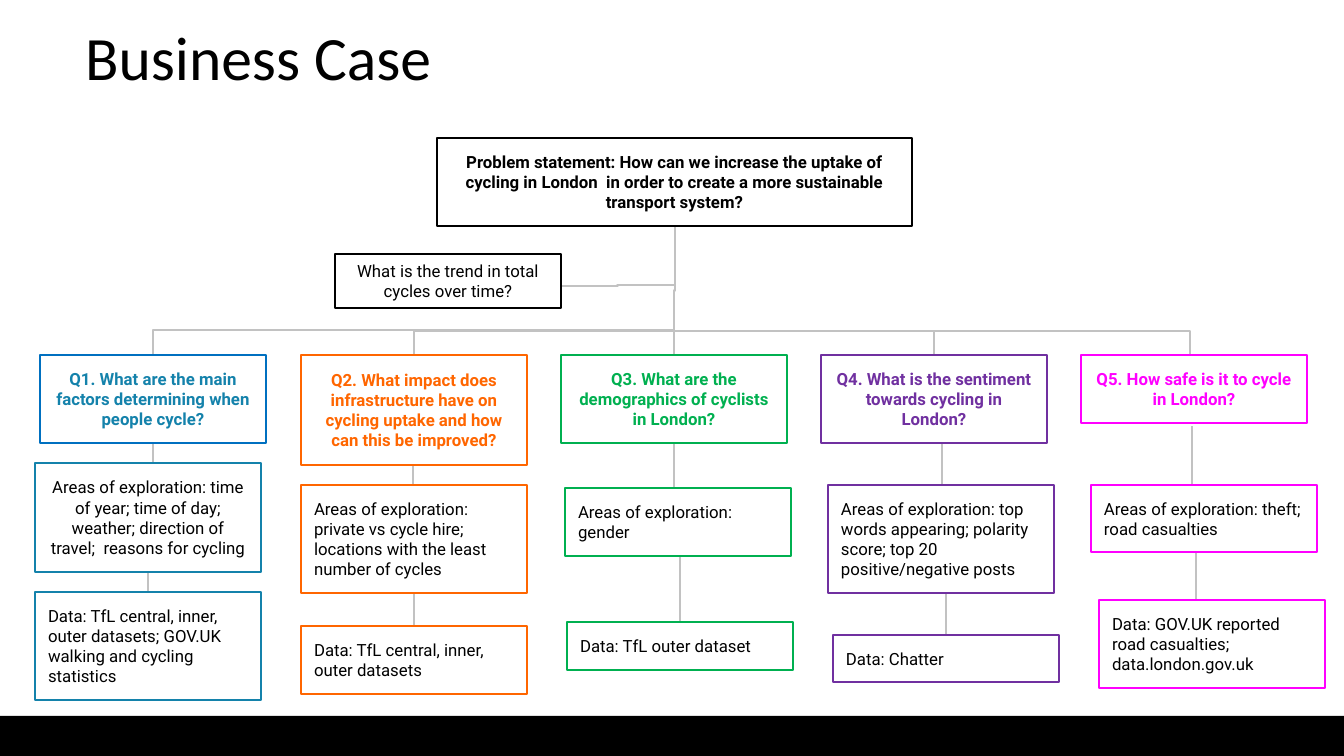
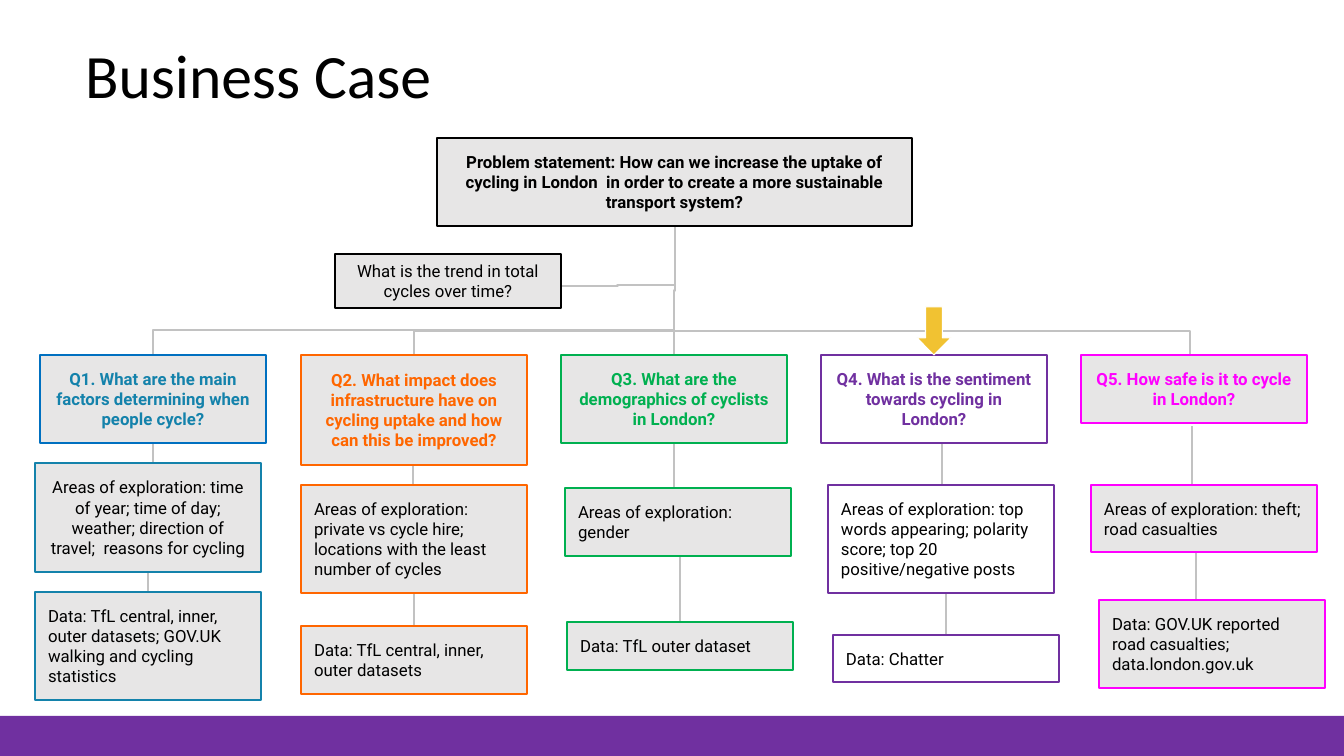
from typing import NamedTuple

from lxml import etree
from pptx import Presentation
from pptx.dml.color import RGBColor
from pptx.enum.shapes import MSO_CONNECTOR, MSO_SHAPE
from pptx.enum.text import MSO_ANCHOR, MSO_AUTO_SIZE, PP_ALIGN
from pptx.oxml.ns import qn
from pptx.util import Emu, Pt

RECTANGLE = MSO_SHAPE.RECTANGLE
DOWN_ARROW = MSO_SHAPE.DOWN_ARROW
ELBOW = MSO_CONNECTOR.ELBOW
MIDDLE = MSO_ANCHOR.MIDDLE
NO_AUTOFIT = MSO_AUTO_SIZE.NONE
LEFT = PP_ALIGN.LEFT
CENTER = PP_ALIGN.CENTER

BLACK = RGBColor(0x00, 0x00, 0x00)
WHITE = RGBColor(0xFF, 0xFF, 0xFF)
MUTED = RGBColor(0xE7, 0xE6, 0xE6)
LINE_GRAY = RGBColor(0xC2, 0xC2, 0xC2)
BLUE = RGBColor(0x00, 0x70, 0xC0)
TEAL = RGBColor(0x14, 0x82, 0xAB)
ORANGE = RGBColor(0xFF, 0x66, 0x00)
GREEN = RGBColor(0x00, 0xB0, 0x50)
PURPLE = RGBColor(0x70, 0x30, 0xA0)
MAGENTA = RGBColor(0xFF, 0x00, 0xFF)
GOLD = RGBColor(0xF1, 0xC2, 0x32)

SLIDE_WIDTH, SLIDE_HEIGHT = 1344, 756
EMU_PER_PX = 12192000 / SLIDE_WIDTH
TITLE_FONT, CARD_FONT = "Calibri", "Roboto"
TITLE_ONLY = 5
CARD_WIDTH = 226
QUESTION_TOP = 355
TRUNK_X = 674
QUARTER_TURN = "5400000"


class Card(NamedTuple):
    """Text and place of one card."""

    text: str
    left: int
    top: int
    height: int
    align: PP_ALIGN = LEFT


class Branch(NamedTuple):
    """One question with its areas, its data and the ends of its line."""

    color: RGBColor
    border: RGBColor
    question: Card
    areas: Card
    data: Card
    line_start: tuple
    line_end: tuple


BRANCHES = [
    Branch(
        TEAL, BLUE,
        Card("Q1. What are the main factors determining when people cycle?",
             40, QUESTION_TOP, 88, CENTER),
        Card("Areas of exploration: time of year; time of day; weather; "
             "direction of travel;  reasons for cycling", 35, 463, 109, CENTER),
        Card("Data: TfL central, inner, outer datasets; GOV.UK walking and "
             "cycling statistics", 35, 592, 108),
        (153, 443), (148, 592)),
    Branch(
        ORANGE, ORANGE,
        Card("Q2. What impact does infrastructure have on cycling uptake and "
             "how can this be improved?", 301, QUESTION_TOP, 110, CENTER),
        Card("Areas of exploration: private vs cycle hire; locations with the "
             "least number of cycles", 301, 485, 108),
        Card("Data: TfL central, inner, outer datasets", 301, 626, 68),
        (413, 465), (414, 626)),
    Branch(
        GREEN, GREEN,
        Card("Q3. What are the demographics of cyclists in London?",
             561, QUESTION_TOP, 88, CENTER),
        Card("Areas of exploration: gender", 565, 488, 68),
        Card("Data: TfL outer dataset", 567, 622, 48),
        (674, 443), (680, 622)),
    Branch(
        PURPLE, PURPLE,
        Card("Q4. What is the sentiment towards cycling in London?",
             821, QUESTION_TOP, 88, CENTER),
        Card("Areas of exploration: top words appearing; polarity score; "
             "top 20 positive/negative posts", 828, 485, 108),
        Card("Data: Chatter", 833, 635, 47),
        (942, 443), (946, 635)),
    Branch(
        MAGENTA, MAGENTA,
        Card("Q5. How safe is it to cycle in London?",
             1081, QUESTION_TOP, 68, CENTER),
        Card("Areas of exploration: theft; road casualties", 1091, 485, 67),
        Card("Data: GOV.UK reported road casualties; data.london.gov.uk",
             1099, 600, 88),
        (1192, 426), (1196, 600)),
]
BUS_LINES = [((TRUNK_X, 330), 153), ((TRUNK_X, 331), 414),
             ((670, 331), 934), ((934, 331), 1190)]
ARROW_X = 934
PROBLEM = Card(
    "Problem statement: How can we increase the uptake of cycling in London  "
    "in order to create a more sustainable transport system?",
    437, 138, 88, CENTER)
TREND = Card("What is the trend in total cycles over time?",
             335, 254, 54, CENTER)


def px(length):
    """Turn px into EMU."""
    return Emu(round(length * EMU_PER_PX))


class Deck:
    """Holds the presentation, its style and the current slide."""

    def __init__(self):
        """Start an empty wide presentation."""
        self.presentation = Presentation()
        self.presentation.slide_width = px(SLIDE_WIDTH)
        self.presentation.slide_height = px(SLIDE_HEIGHT)
        self.slide = None

    def new_slide(self, title, title_height, band_color):
        """Add a slide with its title and bottom band."""
        layout = self.presentation.slide_layouts[TITLE_ONLY]
        self.slide = self.presentation.slides.add_slide(layout)
        shape = self.slide.shapes.title
        shape.left, shape.top = px(75), px(6)
        shape.width, shape.height = px(1159), px(title_height)
        shape.text_frame.text = title
        shape.text_frame.auto_size = NO_AUTOFIT
        shape.text_frame.vertical_anchor = MIDDLE
        paragraph = shape.text_frame.paragraphs[0]
        paragraph.line_spacing = 0.9
        self.format(paragraph, LEFT, TITLE_FONT, 44, BLACK)
        self.shape(RECTANGLE, 0, 716, SLIDE_WIDTH, 40, band_color)

    def format(self, paragraph, align, name, size, color, bold=False):
        """Set alignment and font of a paragraph."""
        paragraph.alignment = align
        font = paragraph.font
        font.name, font.size, font.bold = name, Pt(size), bold
        font.color.rgb = color

    def shape(self, kind, left, top, width, height, fill, border=None,
              weight=1.5):
        """Draw a filled preset shape."""
        shape = self.slide.shapes.add_shape(
            kind, px(left), px(top), px(width), px(height))
        shape.shadow.inherit = False
        shape.fill.solid()
        shape.fill.fore_color.rgb = fill
        if border is None:
            shape.line.fill.background()
        else:
            shape.line.color.rgb = border
            shape.line.width = Pt(weight)
        return shape

    def card(self, card, fill, border, color=BLACK, bold=False,
             width=CARD_WIDTH):
        """Draw a bordered text card."""
        shape = self.shape(RECTANGLE, card.left, card.top, width, card.height,
                           fill, border)
        frame = shape.text_frame
        frame.word_wrap = True
        frame.vertical_anchor = MIDDLE
        frame.margin_left = frame.margin_right = px(13)
        frame.margin_top = frame.margin_bottom = px(13)
        frame.text = card.text
        self.format(frame.paragraphs[0], card.align, CARD_FONT, 12, color, bold)

    def elbow(self, start, end):
        """Draw a bent line that leaves and arrives horizontally."""
        connector = self.slide.shapes.add_connector(
            ELBOW, *map(px, start + end))
        connector.line.color.rgb = LINE_GRAY
        connector.line.width = Pt(1.5)
        etree.SubElement(connector._element.spPr, qn("a:effectLst"))
        return connector

    def corner(self, start, end):
        """Draw a line that runs sideways, then turns once."""
        connector = self.elbow(start, end)
        geometry = connector._element.spPr.find(qn("a:prstGeom"))
        geometry.set("prst", "bentConnector2")

    def step_down(self, start, end):
        """Draw a line that runs down with one sideways step halfway."""
        middle_x = (start[0] + end[0]) / 2
        middle_y = (start[1] + end[1]) / 2
        half_drop = (end[1] - start[1]) / 2
        half_step = (start[0] - end[0]) / 2
        connector = self.elbow((middle_x - half_drop, middle_y - half_step),
                               (middle_x + half_drop, middle_y + half_step))
        connector._element.spPr.find(qn("a:xfrm")).set("rot", QUARTER_TURN)

    def branch(self, branch, fill):
        """Draw one column of cards over its line."""
        self.step_down(branch.line_start, branch.line_end)
        self.card(branch.question, fill, branch.border, branch.color, True)
        for card in (branch.areas, branch.data):
            self.card(card, fill, branch.color)

    def issue_tree(self, fill, focus=None):
        """Draw the whole tree, leaving the focus branch white."""
        self.step_down((TRUNK_X + 1, PROBLEM.top + PROBLEM.height),
                       (TRUNK_X, QUESTION_TOP))
        for start, x in BUS_LINES:
            self.corner(start, (x, QUESTION_TOP))
        self.elbow((TRUNK_X, 285), (TREND.left + CARD_WIDTH, 286))
        self.card(PROBLEM, fill, BLACK, bold=True, width=475)
        self.card(TREND, fill, BLACK)
        for index, branch in enumerate(BRANCHES):
            self.branch(branch, WHITE if index == focus else fill)
        if focus is not None:
            self.shape(DOWN_ARROW, ARROW_X - 17, QUESTION_TOP - 48, 34, 48,
                       GOLD, WHITE, 0.75)


def main():
    """Build both slides and save them."""
    deck = Deck()
    deck.new_slide("Business Case", 110, BLACK)
    deck.issue_tree(WHITE)
    deck.new_slide("Business Case", 146, PURPLE)
    deck.issue_tree(MUTED, focus=3)
    deck.presentation.save("out.pptx")


if __name__ == "__main__":
    main()
